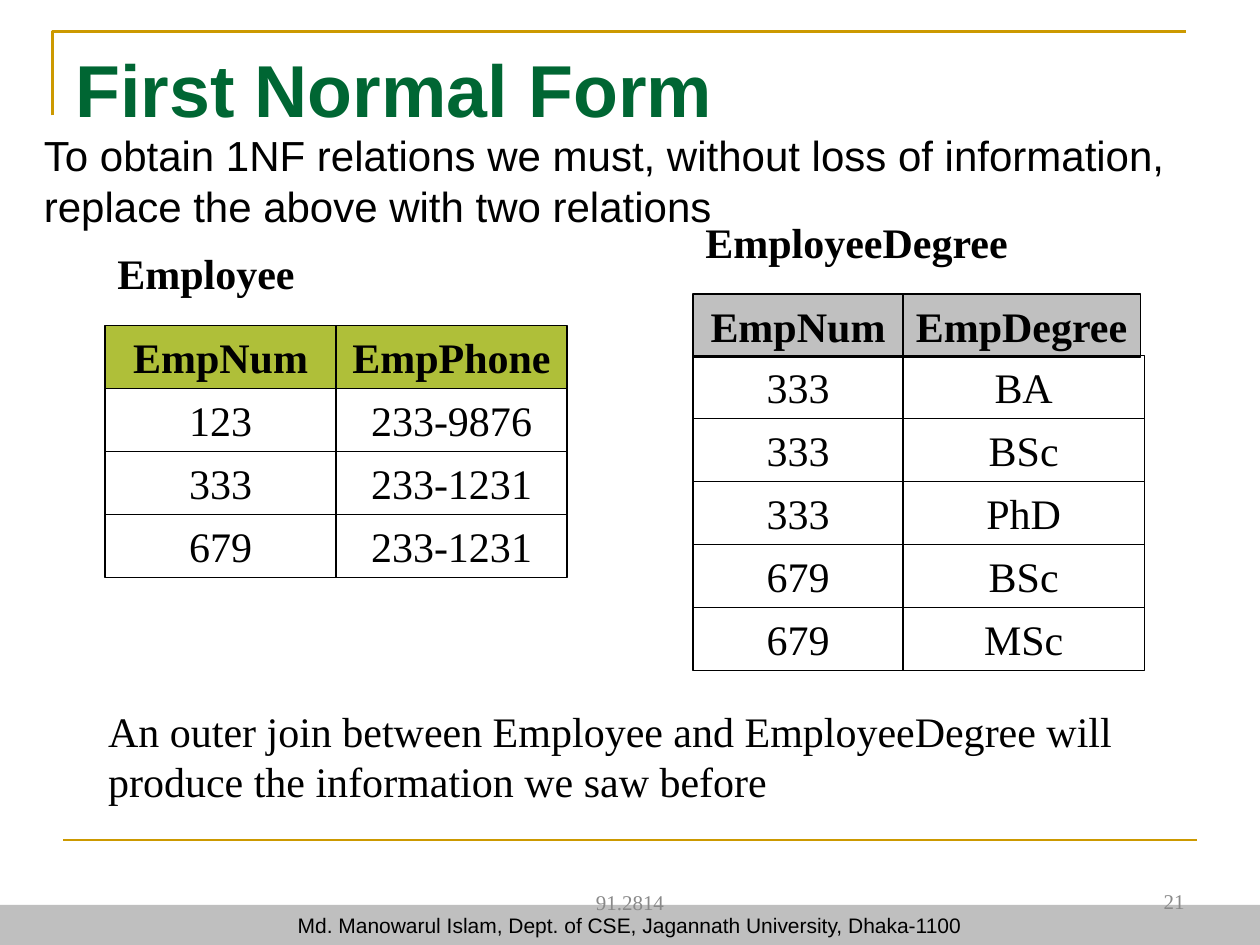
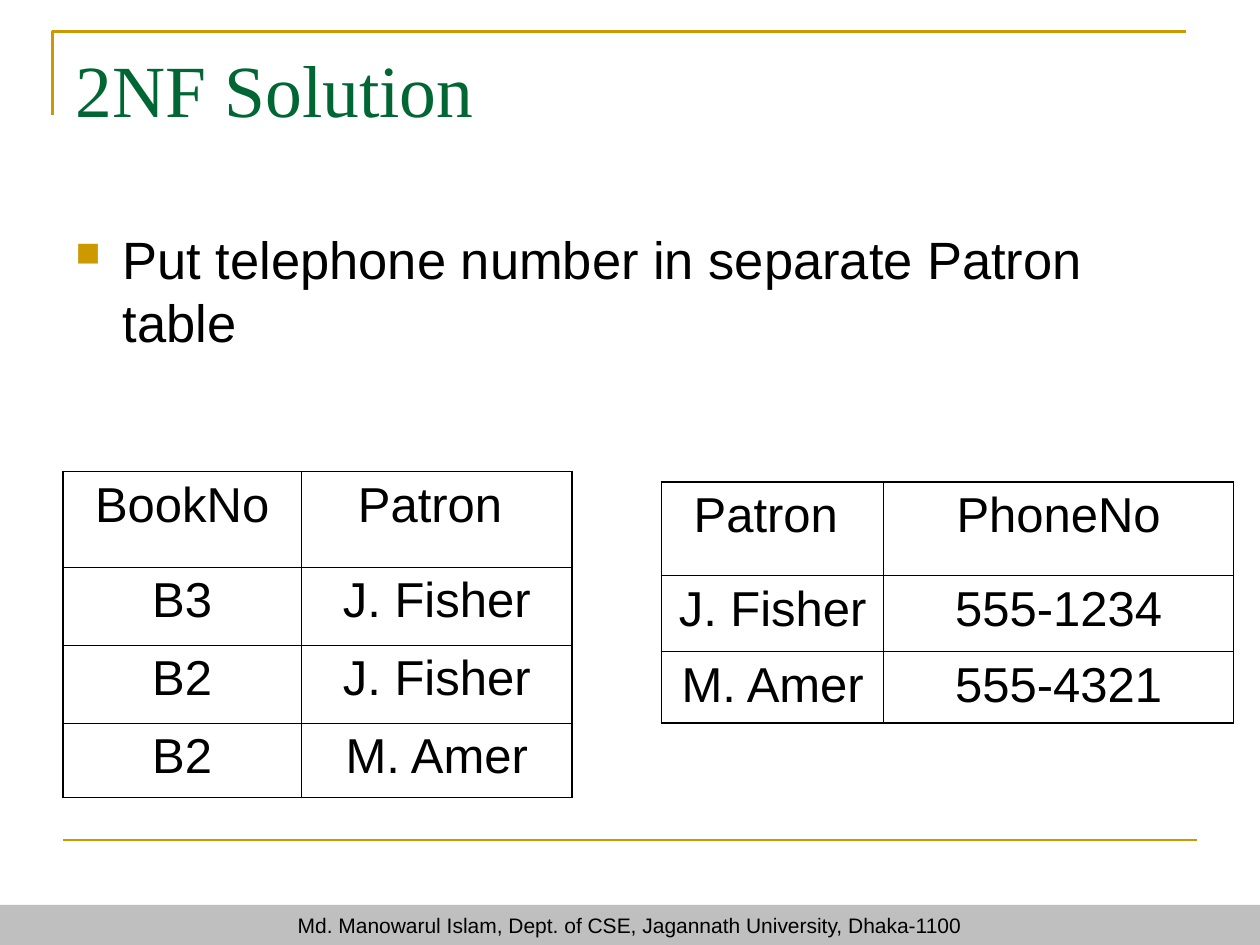
from lxml import etree
from pptx import Presentation
from pptx.dml.color import RGBColor
from pptx.enum.shapes import MSO_CONNECTOR, MSO_SHAPE
from pptx.enum.text import MSO_ANCHOR, PP_ALIGN
from pptx.oxml.ns import qn
from pptx.util import Pt

LEFT, CENTER, RIGHT = PP_ALIGN.LEFT, PP_ALIGN.CENTER, PP_ALIGN.RIGHT
TOP, MIDDLE = MSO_ANCHOR.TOP, MSO_ANCHOR.MIDDLE
RECTANGLE = MSO_SHAPE.RECTANGLE
STRAIGHT = MSO_CONNECTOR.STRAIGHT

SANS, SERIF = "Arial", "Times New Roman"
BLACK, GOLD, GREEN = "000000", "CC9900", "006633"
GRAY_BAND, GRAY_HEADER, GRAY_TEXT = "BFBFBF", "C0C0C0", "898989"
OLIVE = "AFBF39"
PAGE_WIDTH, PAGE_HEIGHT = 720, 540
ROW_HEIGHT = 36
THICK, THIN = 1.08, 0.45

SERIF_24 = {"name": SERIF, "size": 24}
SERIF_24_BOLD = {**SERIF_24, "bold": True}
SMALL_GRAY = {"name": SERIF, "size": 12, "color": GRAY_TEXT}


def rgb(value):
    return RGBColor.from_string(value)


def set_font(font, style):
    """Apply a dict of name, size, bold and color to a font."""
    values = {**style, "size": Pt(style["size"])}
    font.color.rgb = rgb(values.pop("color", BLACK))
    for key, value in values.items():
        setattr(font, key, value)


def write(frame, text, style, align=LEFT, anchor=TOP, wrap=True):
    frame.word_wrap = wrap
    frame.vertical_anchor = anchor
    para = frame.paragraphs[0]
    para.alignment = align
    span = para.add_run()
    span.text = text
    set_font(span.font, style)
    return para


def add_text(page, area, text, style, **layout):
    box = page.shapes.add_textbox(*map(Pt, area))
    return write(box.text_frame, text, style, **layout)


def add_box(page, area, text, style, fill=None, line=None, **layout):
    box = page.shapes.add_shape(RECTANGLE, *map(Pt, area))
    box.shadow.inherit = False
    if fill:
        box.fill.solid()
        box.fill.fore_color.rgb = rgb(fill)
    else:
        box.fill.background()
    if line:
        box.line.color.rgb = rgb(line)
        box.line.width = Pt(0.75)
    else:
        box.line.fill.background()
    write(box.text_frame, text, style, align=CENTER, **layout)


def add_box_row(page, left, top, widths, texts, style, **layout):
    for width, text in zip(widths, texts):
        add_box(page, (left, top, width, ROW_HEIGHT), text, style, line=BLACK, **layout)
        left += width


def add_corner_rule(page):
    builder = page.shapes.build_freeform(30, 66, scale=Pt(1))
    builder.add_line_segments([(30, 18), (678, 18)], close=False)
    corner = builder.convert_to_shape()
    corner.shadow.inherit = False
    corner.fill.background()
    corner.line.color.rgb = rgb(GOLD)
    corner.line.width = Pt(1.5)


def add_bottom_rule(page):
    rule = page.shapes.add_connector(STRAIGHT, Pt(36), Pt(480), Pt(684), Pt(480))
    rule.line.color.rgb = rgb(GOLD)
    rule.line.width = Pt(1.5)
    etree.SubElement(rule._element.spPr, qn("a:effectLst"))


def add_page(deck, title, title_font, bold=False):
    """Add a page with the shared rules, footer band and title."""
    page = deck.slides.add_slide(deck.slide_layouts[6])
    add_corner_rule(page)
    add_bottom_rule(page)
    add_box(page, (0, 517, PAGE_WIDTH, 23.5),
            "Md. Manowarul Islam, Dept. of CSE, Jagannath University, Dhaka-1100",
            {"name": SANS, "size": 12}, fill=GRAY_BAND, anchor=MIDDLE)
    title_style = {"name": title_font, "size": 42, "bold": bold, "color": GREEN}
    add_text(page, (36, 21.6, 648, 90), title, title_style)
    return page


def add_bullet(para):
    properties = para._p.get_or_add_pPr()
    properties.set("marL", str(Pt(27)))
    properties.set("indent", str(-Pt(27)))
    color = etree.SubElement(properties, qn("a:buClr"))
    etree.SubElement(color, qn("a:srgbClr"), val=GOLD)
    etree.SubElement(properties, qn("a:buSzPct"), val="65000")
    etree.SubElement(properties, qn("a:buChar"), char="■")


def set_borders(cell, widths):
    """Draw black cell borders; widths maps L, R, T and B to points."""
    properties = cell._tc.get_or_add_tcPr()
    for index, (side, width) in enumerate(widths.items()):
        line = etree.Element(qn(f"a:ln{side}"), w=str(Pt(width)))
        fill = etree.SubElement(line, qn("a:solidFill"))
        etree.SubElement(fill, qn("a:srgbClr"), val=BLACK)
        properties.insert(index, line)


def add_ruled_table(page, left, top, widths, heights, rows):
    """Add a plain table with a thick frame and thin inner lines."""
    area = (left, top, sum(widths), sum(heights))
    table = page.shapes.add_table(len(rows), len(widths), *map(Pt, area)).table
    table.first_row = table.horz_banding = False
    for column, width in zip(table.columns, widths):
        column.width = Pt(width)
    last_row, last_column = len(rows) - 1, len(widths) - 1
    for r, (texts, height) in enumerate(zip(rows, heights)):
        table.rows[r].height = Pt(height)
        for c, text in enumerate(texts):
            cell = table.cell(r, c)
            cell.fill.background()
            para = cell.text_frame.paragraphs[0]
            para.alignment = CENTER
            span = para.add_run()
            span.text = text
            set_font(span.font, {"name": SANS, "size": 28})
            outer = {"L": c == 0, "R": c == last_column, "T": r == 0, "B": r == last_row}
            set_borders(cell, {side: THICK if edge else THIN for side, edge in outer.items()})


def add_first_normal_form(deck):
    page = add_page(deck, "First Normal Form", SANS, bold=True)
    add_text(page, (246, 501, 228, 28.8), "91.2814", SMALL_GRAY, align=CENTER, anchor=MIDDLE)
    add_text(page, (516, 500.4, 168, 28.8), "21", SMALL_GRAY, align=RIGHT, anchor=MIDDLE)

    add_box_row(page, 396, 168, (120, 135.6), ("EmpNum", "EmpDegree"), SERIF_24_BOLD,
                fill=GRAY_HEADER, wrap=False)
    degrees = [("333", "BA"), ("333", "BSc"), ("333", "PhD"), ("679", "BSc"), ("679", "MSc")]
    for index, row in enumerate(degrees):
        add_box_row(page, 396, 203.3 + index * ROW_HEIGHT, (120, 138), row, SERIF_24)

    phones = [("EmpNum", "EmpPhone"), ("123", "233-9876"), ("333", "233-1231"),
              ("679", "233-1231")]
    for index, row in enumerate(phones):
        header = index == 0
        add_box_row(page, 60, 186 + index * ROW_HEIGHT, (132, 132), row,
                    SERIF_24_BOLD if header else SERIF_24,
                    fill=OLIVE if header else None, anchor=MIDDLE, wrap=False)

    add_text(page, (54.7, 399.6, 606, 64.8),
             "An outer join between Employee and EmployeeDegree will "
             "produce the information we saw before", SERIF_24)
    add_text(page, (60, 138, 130, ROW_HEIGHT), "Employee", SERIF_24_BOLD)
    add_text(page, (396, 120, 200, ROW_HEIGHT), "EmployeeDegree", SERIF_24_BOLD)
    add_text(page, (18, 70.6, 663, 64.8),
             "To obtain 1NF relations we must, without loss of information, "
             "replace the above with two relations", {"name": SANS, "size": 24})


def add_second_normal_form(deck):
    page = add_page(deck, "2NF Solution", SERIF)
    para = add_text(page, (36, 126, 648, 356.4),
                    "Put telephone number in separate Patron table", {"name": SANS, "size": 30})
    add_bullet(para)
    add_ruled_table(page, 36, 269.5, (136.2, 154.8), (54.7, 44.6, 44.6, 42.3),
                    [("BookNo", "Patron "), ("B3", "J. Fisher"),
                     ("B2", "J. Fisher"), ("B2", "M. Amer")])
    add_ruled_table(page, 378, 275.6, (127, 199.8), (53.3, 43.4, 41),
                    [("Patron ", "PhoneNo"), ("J. Fisher", "555-1234"),
                     ("M. Amer", "555-4321")])


def main():
    deck = Presentation()
    deck.slide_width, deck.slide_height = Pt(PAGE_WIDTH), Pt(PAGE_HEIGHT)
    add_first_normal_form(deck)
    add_second_normal_form(deck)
    deck.save("out.pptx")


if __name__ == "__main__":
    main()
